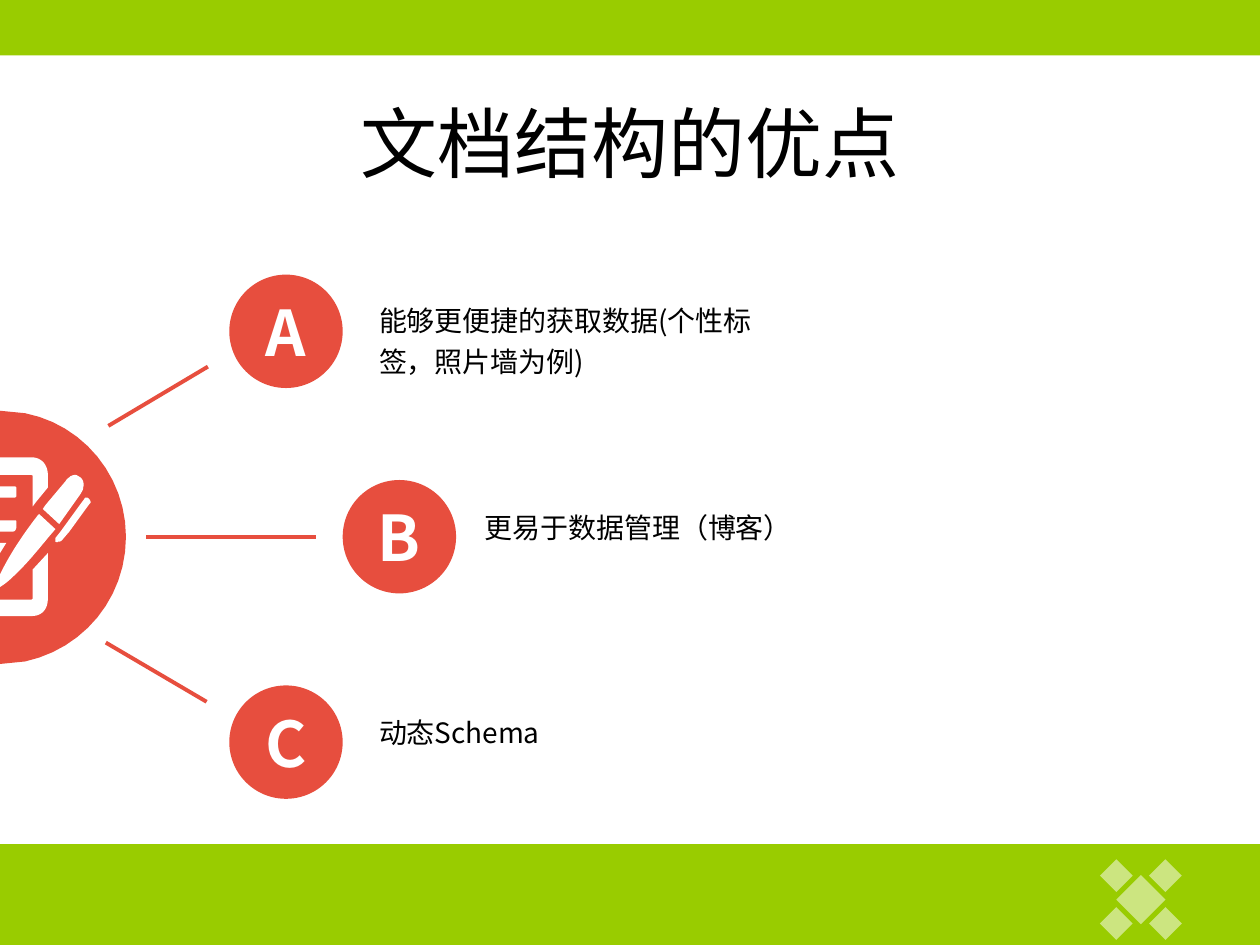
import pptx
import pptx.dml.color
import pptx.enum.shapes
import pptx.enum.text
import pptx.oxml
import pptx.oxml.ns
import pptx.util
from lxml import etree

COLORS = {"green": "99CC00", "red": "E74E3E", "white": "FFFFFF", "black": "000000"}
FONT = "Noto Sans CJK SC"
COLUMNS, ROWS = 1000, 750
CELL = pptx.util.Inches(10) // COLUMNS
SHAPE = pptx.enum.shapes.MSO_SHAPE
ALIGN = pptx.enum.text.PP_ALIGN
MIDDLE = pptx.enum.text.MSO_ANCHOR.MIDDLE

# Outlines in grid cells: pairs are corners, sixes are Bézier curves.
DISC = [[(0, 0), (20, 2), (66, 11, 100, 52, 100, 100),
         (100, 149, 66, 189, 20, 199), (0, 201)]]
PAGE_AND_PEN = [
    [(38, 113), (38, 149), (38, 158, 33, 163, 25, 163), (0, 163), (0, 150), (23, 150),
     (26, 150, 26, 150, 26, 147), (26, 126)],
    [(0, 105), (5, 105), (0, 113)],
    [(0, 87), (11, 87), (13, 87, 13, 87, 13, 89), (13, 92), (13, 94, 12, 96, 10, 96), (0, 96)],
    [(31, 82), (44, 94), (38, 101), (29, 112, 20, 123, 9, 133), (6, 136, 3, 138, 0, 140),
     (0, 130), (3, 124), (11, 109, 20, 96, 30, 83)],
    [(69, 69), (70, 69, 72, 71, 72, 73), (71, 74), (55, 96), (49, 103),
     (48, 104, 47, 104, 46, 104), (46, 105, 44, 104, 44, 104), (44, 101), (48, 96),
     (64, 74), (67, 70), (67, 69, 68, 69, 69, 69)],
    [(0, 60), (12, 60), (13, 61), (13, 67), (13, 68, 13, 69, 11, 69), (0, 69)],
    [(60, 51), (61, 51, 62, 52, 64, 53), (66, 55, 67, 58, 66, 61), (66, 63, 65, 64, 64, 66),
     (47, 90), (34, 78), (36, 75), (52, 56), (53, 54, 55, 53, 56, 52), (58, 51, 59, 51, 60, 51)],
    [(0, 37), (25, 37), (33, 37, 38, 43, 38, 51), (38, 61), (29, 72), (26, 76), (26, 53),
     (26, 51, 26, 51, 23, 51), (0, 51)],
]


def rgb(color):
    """Return a named colour."""
    return pptx.dml.color.RGBColor.from_string(COLORS[color])


def cells(*counts):
    """Turn counts of grid cells into lengths."""
    return [pptx.util.Emu(round(count * CELL)) for count in counts]


def paint(shape, color, alpha=None):
    """Fill a shape, without line or shadow."""
    shape.shadow.inherit = False
    shape.line.fill.background()
    shape.fill.solid()
    shape.fill.fore_color.rgb = rgb(color)
    if alpha is not None:
        tint = shape.fill._xPr.find(".//" + pptx.oxml.ns.qn("a:srgbClr"))
        etree.SubElement(tint, pptx.oxml.ns.qn("a:alpha"), val=str(alpha * 1000))


def add_figure(slide, kind, box, color, alpha=None):
    """Add a filled preset shape."""
    figure = slide.shapes.add_shape(kind, *cells(*box))
    paint(figure, color, alpha)
    return figure


def write(frame, text, size, color="black", bold=False, align=ALIGN.LEFT, anchor=None, spacing=None):
    """Write one formatted paragraph into a text frame."""
    frame.word_wrap = True
    if anchor is not None:
        frame.vertical_anchor = anchor
    paragraph = frame.paragraphs[0]
    paragraph.alignment = align
    if spacing is not None:
        paragraph.line_spacing = spacing
    run = paragraph.add_run()
    run.text = text
    run.font.size, run.font.bold, run.font.name = pptx.util.Pt(size), bold, FONT
    run.font.color.rgb = rgb(color)
    latin = run.font._element.find(pptx.oxml.ns.qn("a:latin"))
    latin.addnext(pptx.oxml.parse_xml(
        f'<a:ea {pptx.oxml.ns.nsdecls("a")} typeface="{FONT}"/>'))


def trace(contour, steps=12):
    """Return the points of a contour, with its curves sampled."""
    points = []
    for node in contour:
        if len(node) == 2:
            points.append(node)
            continue
        knots = [points[-1], node[:2], node[2:4], node[4:]]
        for step in range(1, steps + 1):
            t = step / steps
            weights = ((1 - t) ** 3, 3 * t * (1 - t) ** 2, 3 * t * t * (1 - t), t ** 3)
            points.append(tuple(sum(w * knot[axis] for w, knot in zip(weights, knots))
                                for axis in (0, 1)))
    return points


def add_outline(slide, left, top, contours, color):
    """Add one freeform made of closed contours."""
    builder = None
    for contour in contours:
        start, *others = [cells(left + x, top + y) for x, y in trace(contour)]
        if builder is None:
            builder = slide.shapes.build_freeform(*start, scale=1.0)
        else:
            builder.move_to(*start)
        builder.add_line_segments(others, close=True)
    paint(builder.convert_to_shape(), color)


def add_spoke(slide, start, end):
    """Add a red line between two grid points."""
    spoke = slide.shapes.add_connector(
        pptx.enum.shapes.MSO_CONNECTOR.STRAIGHT, *cells(*start, *end))
    spoke.line.color.rgb = rgb("red")
    spoke.line.width = pptx.util.Pt(2.25)
    etree.SubElement(spoke._element.spPr, pptx.oxml.ns.qn("a:effectLst"))


def add_ornament(slide, left, top, width, height):
    """Add a large diamond with four small ones around it."""
    large, small = 39, 26
    add_figure(slide, SHAPE.DIAMOND, (left + (width - large) / 2, top + (height - large) / 2,
                                      large, large), "white", 50)
    for x in (left, left + width - small):
        for y in (top, top + height - small):
            add_figure(slide, SHAPE.DIAMOND, (x, y, small, small), "white", 50)


def add_title(slide, *box):
    """Place and write the title."""
    title = slide.shapes.title
    title.left, title.top, title.width, title.height = cells(*box)
    write(title.text_frame, "文档结构的优点", 44, align=ALIGN.CENTER, anchor=MIDDLE)


def add_emblem(slide, left, top):
    """Add the half disc with the page and pen."""
    add_outline(slide, left, top, DISC, "red")
    add_outline(slide, left, top, PAGE_AND_PEN, "white")


def add_advantage(slide, left, top, letter, advantage, gap, drop, height):
    """Add a lettered circle and the text beside it."""
    diameter = 90
    circle = add_figure(slide, SHAPE.OVAL, (left, top, diameter, diameter), "red")
    write(circle.text_frame, letter, 36, color="white", bold=True,
          align=ALIGN.CENTER, anchor=MIDDLE)
    label = slide.shapes.add_textbox(*cells(left + diameter + gap, top + drop, 335, height))
    write(label.text_frame, advantage, 16, spacing=1.2)
    label.text_frame.auto_size = pptx.enum.text.MSO_AUTO_SIZE.SHAPE_TO_FIT_TEXT


def add_advantages(slide, left, top, pitch):
    """Add the three advantages and the spokes that lead to them."""
    advantages = [("A", "能够更便捷的获取数据(个性标签，照片墙为例)", 0, 19, 13, 74),
                  ("B", "更易于数据管理（博客）", 90, 13, 14, 42),
                  ("C", "动态Schema", 0, 19, 14, 42)]
    for row, (letter, advantage, shift, gap, drop, height) in enumerate(advantages):
        add_advantage(slide, left + shift, top + row * pitch, letter, advantage, gap, drop, height)
    middle = top + pitch + 45
    for start, end in (((-96, -88), (-17, -135)), ((-66, 0), (69, 0)), ((-98, 84), (-18, 131))):
        add_spoke(slide, (left + start[0], middle + start[1]), (left + end[0], middle + end[1]))


def main():
    """Build and save the slide."""
    deck = pptx.Presentation()
    deck.slide_width, deck.slide_height = cells(COLUMNS, ROWS)
    slide = deck.slides.add_slide(deck.slide_layouts[5])
    add_figure(slide, SHAPE.RECTANGLE, (0, 0, COLUMNS, 44), "green")
    add_figure(slide, SHAPE.RECTANGLE, (0, 670, COLUMNS, 80), "green")
    add_ornament(slide, 873, 682, 65, 64)
    add_title(slide, 69, 40, 863, 145)
    add_emblem(slide, 0, 326)
    add_advantages(slide, 182, 218, pitch=163)
    deck.save("out.pptx")


if __name__ == "__main__":
    main()
